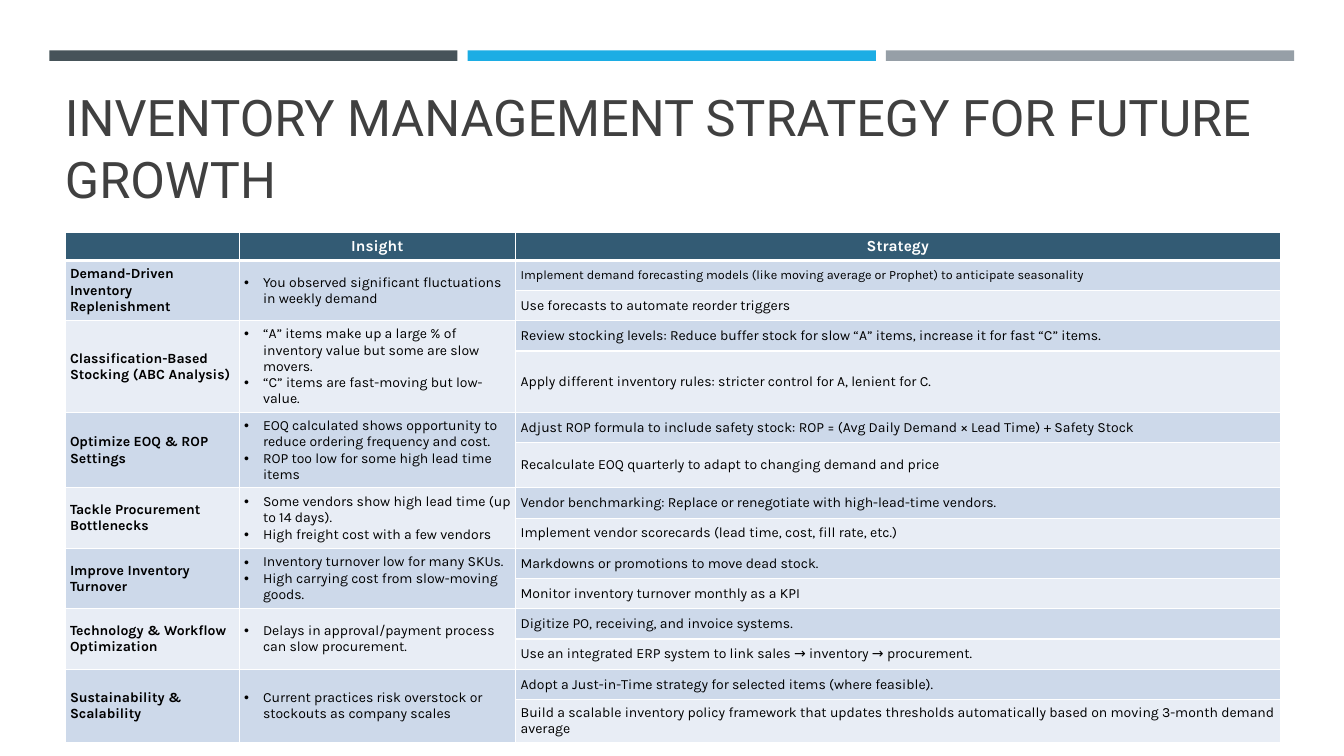
from lxml import etree
from pptx import Presentation
from pptx import util as u
from pptx.dml.color import RGBColor
from pptx.enum import shapes, text
from pptx.oxml import ns

DARK = RGBColor(0x46, 0x53, 0x59)
BLUE = RGBColor(0x1C, 0xAD, 0xE4)
GRAY = RGBColor(0x96, 0x9F, 0xA7)
TITLE_GRAY = RGBColor(0x40, 0x40, 0x40)
NAVY = RGBColor(0x33, 0x5B, 0x74)
BAND_DARK = RGBColor(0xCD, 0xD9, 0xEA)
BAND_LIGHT = RGBColor(0xE8, 0xED, 0xF5)
WHITE = RGBColor(0xFF, 0xFF, 0xFF)
BLACK = RGBColor(0, 0, 0)
BANDS = (BAND_DARK, BAND_LIGHT)

# Each topic: name, insights, two strategies
TOPICS = [
    ("Demand-Driven Inventory Replenishment",
     ["You observed significant fluctuations in weekly demand"],
     ["Implement demand forecasting models (like moving average or Prophet) to anticipate seasonality",
      "Use forecasts to automate reorder triggers"]),
    ("Classification-Based Stocking (ABC Analysis)",
     ["“A” items make up a large % of inventory value but some are slow movers.",
      "“C” items are fast-moving but low-value."],
     ["Review stocking levels: Reduce buffer stock for slow “A” items, increase it for fast “C” items.",
      "Apply different inventory rules: stricter control for A, lenient for C."]),
    ("Optimize EOQ & ROP Settings",
     ["EOQ calculated shows opportunity to reduce ordering frequency and cost.",
      "ROP too low for some high lead time items"],
     ["Adjust ROP formula to include safety stock: ROP = (Avg Daily Demand × Lead Time) + Safety Stock",
      "Recalculate EOQ quarterly to adapt to changing demand and price"]),
    ("Tackle Procurement Bottlenecks",
     ["Some vendors show high lead time (up to 14 days).",
      "High freight cost with a few vendors"],
     ["Vendor benchmarking: Replace or renegotiate with high-lead-time vendors.",
      "Implement vendor scorecards (lead time, cost, fill rate, etc.)"]),
    ("Improve Inventory Turnover",
     ["Inventory turnover low for many SKUs.",
      "High carrying cost from slow-moving goods."],
     ["Markdowns or promotions to move dead stock.",
      "Monitor inventory turnover monthly as a KPI"]),
    ("Technology & Workflow Optimization",
     ["Delays in approval/payment process can slow procurement."],
     ["Digitize PO, receiving, and invoice systems.",
      "Use an integrated ERP system to link sales → inventory → procurement."]),
    ("Sustainability & Scalability",
     ["Current practices risk overstock or stockouts as company scales"],
     ["Adopt a Just-in-Time strategy for selected items (where feasible).",
      "Build a scalable inventory policy framework that updates thresholds automatically "
      "based on moving 3-month demand average"]),
]


def apply_format(target, values):
    for name, value in values.items():
        setattr(target, name, value)


def write_cell(cell, lines, color, size=10, bold=False, centered=False, bulleted=False):
    frame = cell.text_frame
    frame.text = "\n".join(lines)
    for paragraph in frame.paragraphs:
        if centered:
            paragraph.alignment = text.PP_ALIGN.CENTER
        if bulleted:
            properties = paragraph._p.get_or_add_pPr()
            properties.set("marL", str(u.Pt(13.5)))
            properties.set("indent", str(u.Pt(-13.5)))
            etree.SubElement(properties, ns.qn("a:buFont"), typeface="Arial")
            etree.SubElement(properties, ns.qn("a:buChar"), char="•")
        for run in paragraph.runs:
            apply_format(run.font, {"name": "Karla", "size": u.Pt(size), "bold": bold})
            run.font.color.rgb = color


presentation = Presentation()
apply_format(presentation, {"slide_width": u.Pt(960), "slide_height": u.Pt(540)})
slide = presentation.slides.add_slide(presentation.slide_layouts[5])

# Three bars across the top
for index, color in enumerate((DARK, BLUE, GRAY)):
    bar = slide.shapes.add_shape(shapes.MSO_SHAPE.RECTANGLE, u.Pt(35.2 + 298.8 * index),
                                 u.Pt(36), u.Pt(291.6), u.Pt(7.5))
    bar.shadow.inherit = False
    bar.fill.solid()
    bar.fill.fore_color.rgb = color
    bar.line.fill.background()

# Title
title = slide.shapes.title
apply_format(title, {"left": u.Pt(46.4), "top": u.Pt(55.4),
                     "width": u.Pt(868), "height": u.Pt(93.6)})
title.text_frame.text = "INVENTORY MANAGEMENT STRATEGY FOR FUTURE GROWTH"
apply_format(title.text_frame, {
    "margin_left": 0, "margin_top": 0, "margin_right": 0, "margin_bottom": 0,
    "word_wrap": True, "auto_size": text.MSO_AUTO_SIZE.NONE,
    "vertical_anchor": text.MSO_ANCHOR.BOTTOM})
heading = title.text_frame.paragraphs[0]
apply_format(heading, {"alignment": text.PP_ALIGN.LEFT, "line_spacing": u.Pt(44.3)})
apply_format(heading.runs[0].font, {"name": "Roboto", "size": u.Pt(36), "bold": False})
heading.runs[0].font.color.rgb = TITLE_GRAY

# Table grid
row_count = 1 + 2 * len(TOPICS)
table = slide.shapes.add_table(row_count, 3, u.Pt(46.4), u.Pt(165.9),
                               u.Pt(868), u.Pt(334.8)).table
apply_format(table, {"first_row": False, "horz_banding": False})
for column, width in zip(table.columns, (124.4, 197.5, 546.1)):
    column.width = u.Pt(width)
for index, row in enumerate(table.rows):
    row.height = u.Pt(21.6 if index else 20)

# Header text
for column, label in enumerate(("Insight", "Strategy"), start=1):
    write_cell(table.cell(0, column), [label], WHITE, size=11, bold=True, centered=True)

# Topic text: two rows per topic, the first two columns merged
for index, (name, insights, strategies) in enumerate(TOPICS):
    top = 1 + 2 * index
    for column in (0, 1):
        table.cell(top, column).merge(table.cell(top + 1, column))
    write_cell(table.cell(top, 0), [name], BLACK, bold=True)
    write_cell(table.cell(top, 1), insights, BLACK, bulleted=True)
    for offset, strategy in enumerate(strategies):
        write_cell(table.cell(top + offset, 2), [strategy], BLACK,
                   size=9 if top + offset == 1 else 10)

# Cell margins, borders and fills
for row in range(row_count):
    for column in range(3):
        cell = table.cell(row, column)
        apply_format(cell, {
            "margin_left": u.Pt(3.6), "margin_top": u.Pt(3.6),
            "margin_right": u.Pt(3.6), "margin_bottom": u.Pt(3.6),
            "vertical_anchor": text.MSO_ANCHOR.MIDDLE})
        if not cell.text_frame.text:
            etree.SubElement(cell.text_frame.paragraphs[0]._p, ns.qn("a:endParaRPr"), sz="1000")
        for side in "LRTB":
            thick = (row, side) in ((0, "B"), (1, "T"))
            border = etree.SubElement(cell._tc.get_or_add_tcPr(), ns.qn(f"a:ln{side}"),
                                      w=str(u.Pt(3 if thick else 1)))
            paint = etree.SubElement(border, ns.qn("a:solidFill"))
            etree.SubElement(paint, ns.qn("a:srgbClr"), val=str(WHITE))
        band = (row - 1) % 2 if column == 2 else (row - 1) // 2 % 2
        cell.fill.solid()
        cell.fill.fore_color.rgb = BANDS[band] if row else NAVY

presentation.save("out.pptx")
